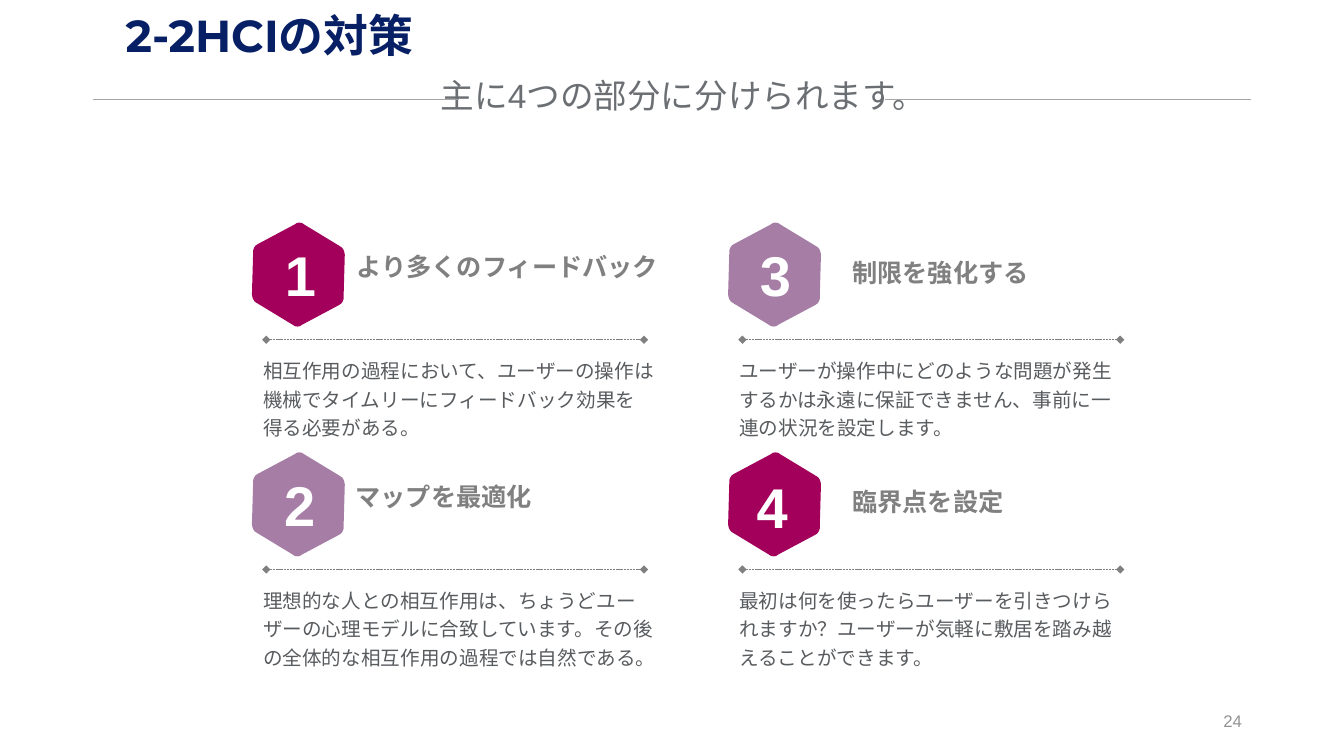
import pptx
import pptx.dml.color
import pptx.enum.dml
import pptx.enum.shapes
import pptx.enum.text
import pptx.oxml
import pptx.util
from pptx.util import Cm

RGB = pptx.dml.color.RGBColor
NAVY = RGB(0x07, 0x1F, 0x65)
WINE = RGB(0xA3, 0x00, 0x5B)
MAUVE = RGB(0xA5, 0x7D, 0xA5)
WHITE = RGB(0xFF, 0xFF, 0xFF)
GREY = RGB(0x80, 0x80, 0x80)
SLATE = RGB(0x59, 0x5C, 0x5F)
STEEL = RGB(0x6B, 0x6F, 0x73)
SILVER = RGB(0xA6, 0xA6, 0xA6)
ASH = RGB(0x92, 0x93, 0x93)

ALIGN = pptx.enum.text.PP_ALIGN
MIDDLE = pptx.enum.text.MSO_ANCHOR.MIDDLE
COL_GAP, ROW_GAP = 12, 5.79
HALF_HEX = [
    (10, 126), (4, 130), (-2, 131), (-9, 130), (-15, 126),
    (-104, 72), (-110, 68), (-114, 62), (-116, 56), (-117, 50),
    (-114, -55), (-114, -61), (-112, -67), (-108, -73), (-102, -77),
]
PARTS = [
    (0, 0, WINE, "1", (6.93, 5.94), "より多くのフィードバック", (8.74, 6.2, 8.2),
     "相互作用の過程において、ユーザーの操作は機械でタイムリーにフィードバック効果を得る必要がある。"),
    (0, 1, MAUVE, "2", (6.91, 11.73), "マップを最適化", (8.71, 12.01, 5),
     "理想的な人との相互作用は、ちょうどユーザーの心理モデルに合致しています。"
     "その後の全体的な相互作用の過程では自然である。"),
    (1, 0, MAUVE, "3", (18.9, 5.94), "制限を強化する", (21.23, 6.35, 5),
     "ユーザーが操作中にどのような問題が発生するかは永遠に保証できません、事前に一連の状況を設定します。"),
    (1, 1, WINE, "4", (18.82, 11.79), "臨界点を設定", (21.23, 12.12, 4.37),
     "最初は何を使ったらユーザーを引きつけられますか？ユーザーが気軽に敷居を踏み越えることができます。"),
]


def add_text(slide, text, place, size, color, bold=False, face="Arial",
             align=ALIGN.LEFT, anchor=None, space=None, wrap=True, inset=True):
    """Add a text box with one paragraph at a place given in centimetres."""
    frame = slide.shapes.add_textbox(*map(Cm, place)).text_frame
    frame.word_wrap = wrap
    if anchor is not None:
        frame.vertical_anchor = anchor
    if not inset:
        frame.margin_left = frame.margin_right = 0
        frame.margin_top = frame.margin_bottom = 0
    para = frame.paragraphs[0]
    para.text = text
    para.alignment = align
    if space:
        para.line_spacing = space
    font = para.font
    font.name, font.size, font.bold = face, pptx.util.Pt(size), bold
    font.color.rgb = color


def add_rule(slide, left, right, top, color, dotted=False):
    """Add a thin level line, dotted with diamond ends if asked."""
    rule = slide.shapes.add_connector(
        pptx.enum.shapes.MSO_CONNECTOR.STRAIGHT,
        Cm(left), Cm(top), Cm(right), Cm(top))
    rule.line.color.rgb = color
    rule.line.width = pptx.util.Pt(0.5)
    props = rule.element.spPr
    if dotted:
        rule.line.dash_style = pptx.enum.dml.MSO_LINE.SQUARE_DOT
        for tag in ("headEnd", "tailEnd"):
            end = pptx.oxml.ns.qn("a:" + tag)
            rule.line._get_or_add_ln().makeelement(end)
            pptx.oxml.xmlchemy.OxmlElement("a:" + tag)
            node = pptx.oxml.xmlchemy.OxmlElement("a:" + tag)
            node.set("type", "diamond")
            props.ln.append(node)
    props.append(pptx.oxml.xmlchemy.OxmlElement("a:effectLst"))


def add_hex(slide, x, y, color):
    """Add a rounded hexagon centred on a point."""
    points = HALF_HEX + [(-a, -b) for a, b in HALF_HEX]
    pen = slide.shapes.build_freeform(*points[0], scale=Cm(0.01))
    pen.add_line_segments(points[1:], close=True)
    shape = pen.convert_to_shape(Cm(x), Cm(y))
    shape.shadow.inherit = False
    shape.fill.solid()
    shape.fill.fore_color.rgb = color
    shape.line.fill.background()


def add_part(slide, col, row, color, digit, spot, head, place, body):
    """Add one numbered part with its heading, rule and body."""
    x, y = col * COL_GAP, row * ROW_GAP
    add_hex(slide, 7.52 + x, 6.92 + y, color)
    add_rule(slide, 6.71 + x, 16.23 + x, 8.56 + y, GREY, dotted=True)
    add_text(slide, head, (*place, 1.02), 18, GREY, bold=True,
             anchor=MIDDLE, wrap=False)
    add_text(slide, body, (6.38 + x, 8.81 + y, 10.36, 2.34), 14, SLATE, space=1.2)
    add_text(slide, digit, (*spot, 1.04, 1.96), 40, WHITE, bold=True)


def main():
    """Build the slide and save it."""
    deck = pptx.Presentation()
    deck.slide_width, deck.slide_height = Cm(33.87), Cm(19.05)
    slide = deck.slides.add_slide(deck.slide_layouts[6])
    add_text(slide, "2-2HCIの対策", (2.92, 0.23, 30.71, 1.96), 32, NAVY,
             bold=True, face="Montserrat", space=0.9)
    add_text(slide, "24", (23.93, 17.65, 7.62, 1.02), 12, ASH,
             align=ALIGN.RIGHT, anchor=MIDDLE)
    for part in PARTS:
        add_part(slide, *part)
    add_text(slide, "主に4つの部分に分けられます。", (10.82, 1.88, 11.96, 1.02), 24,
             STEEL, align=ALIGN.CENTER, anchor=MIDDLE, inset=False)
    for left in (2.34, 22.3):
        add_rule(slide, left, left + 9.22, 2.51, SILVER)
    deck.save("out.pptx")


if __name__ == "__main__":
    main()
